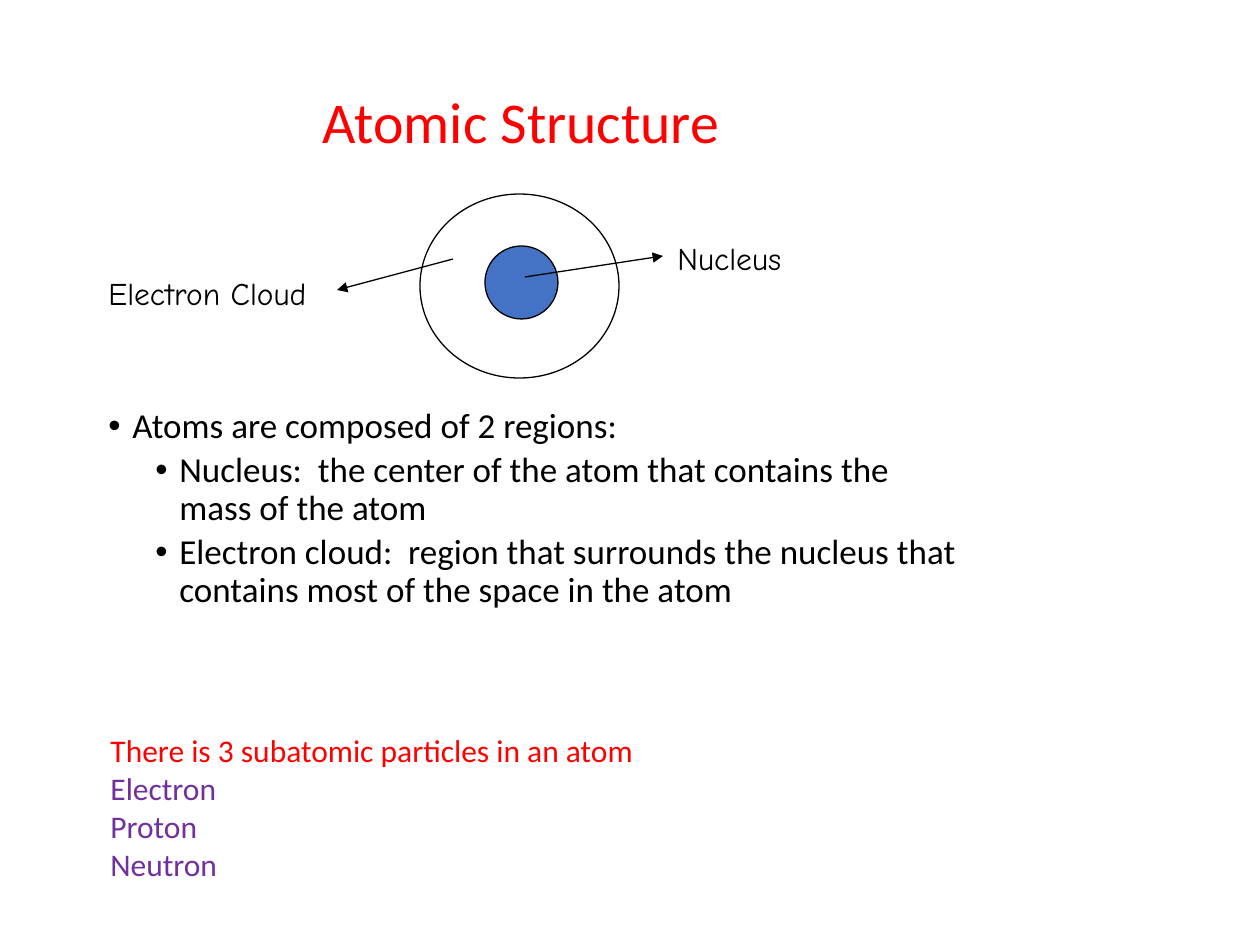
import pptx
import pptx.util
import pptx.dml.color
import pptx.enum.shapes
import pptx.enum.text
import pptx.oxml
import pptx.oxml.ns

COLORS = {"black": "000000", "red": "FF0000", "purple": "7030A0", "nucleus": "4472C4"}


def px(length):
    return pptx.util.Emu(round(length * 914400 / 126))


def add_text(page, bounds, lines, font, size):
    box = page.shapes.add_textbox(*map(px, bounds))
    frame = box.text_frame
    frame.word_wrap = True
    frame.text = "\n".join(text for text, color in lines)
    for para, (text, color) in zip(frame.paragraphs, lines):
        for span in para.runs:
            span.font.name = font
            span.font.size = pptx.util.Pt(size)
            span.font.color.rgb = pptx.dml.color.RGBColor.from_string(COLORS[color])
    return frame


deck = pptx.Presentation()
deck.slide_width = px(1260)
deck.slide_height = px(945)
page = deck.slides.add_slide(deck.slide_layouts[6])
black = pptx.dml.color.RGBColor.from_string(COLORS["black"])

title = add_text(page, (84, 84, 874, 82), [("Atomic Structure", "red")], "Calibri", 33)
title.vertical_anchor = pptx.enum.text.MSO_ANCHOR.MIDDLE
title.paragraphs[0].alignment = pptx.enum.text.PP_ALIGN.CENTER
title.paragraphs[0].line_spacing = 0.9

regions = [
    ("Atoms are composed of 2 regions:", 0),
    ("Nucleus:  the center of the atom that contains the mass of the atom", 1),
    ("Electron cloud:  region that surrounds the nucleus that contains most of the space in the atom", 1),
]
body = add_text(page, (96, 402, 874, 299), [(text, "black") for text, level in regions], "Calibri", 20)
for para, (text, level) in zip(body.paragraphs, regions):
    para.level = level
    para.line_spacing = 0.9
    if level:
        para.space_before = pptx.util.Pt(3.7)
    properties = para._p.get_or_add_pPr()
    properties.set("marL", str(px(24 + 47 * level)))
    properties.set("indent", str(px(-24)))
    font_tag = pptx.oxml.parse_xml(f'<a:buFont {pptx.oxml.ns.nsdecls("a")} typeface="Arial"/>')
    bullet = pptx.oxml.parse_xml(f'<a:buChar {pptx.oxml.ns.nsdecls("a")} char="•"/>')
    properties.extend([font_tag, bullet])

for bounds, fill in [((485, 246, 73, 73), "nucleus"), ((420, 194, 199, 184), None)]:
    oval = page.shapes.add_shape(pptx.enum.shapes.MSO_SHAPE.OVAL, *map(px, bounds))
    oval.shadow.inherit = False
    oval.line.color.rgb = black
    oval.line.width = pptx.util.Pt(0.75)
    if fill:
        oval.fill.solid()
        oval.fill.fore_color.rgb = pptx.dml.color.RGBColor.from_string(COLORS[fill])
    else:
        oval.fill.background()

for ends in [(525, 277, 663, 256), (453, 259, 337, 290)]:
    arrow = page.shapes.add_connector(pptx.enum.shapes.MSO_CONNECTOR.STRAIGHT, *map(px, ends))
    arrow.line.color.rgb = black
    arrow.line.width = pptx.util.Pt(0.75)
    head = pptx.oxml.parse_xml(f'<a:tailEnd {pptx.oxml.ns.nsdecls("a")} type="triangle"/>')
    arrow.line._get_or_add_ln().append(head)
    effects = pptx.oxml.parse_xml(f'<a:effectLst {pptx.oxml.ns.nsdecls("a")}/>')
    arrow._element.spPr.append(effects)

for bounds, label in [((665, 233, 199, 50), "Nucleus"), ((96, 268, 242, 50), "Electron Cloud")]:
    add_text(page, bounds, [(label, "black")], "Comic Neue", 18)

particles = [("There is 3 subatomic particles in an atom", "red")]
particles += [(name, "purple") for name in ("Electron", "Proton", "Neutron")]
summary = add_text(page, (98, 725, 549, 164), particles, "Calibri", 18)
summary.word_wrap = False

deck.save("out.pptx")
